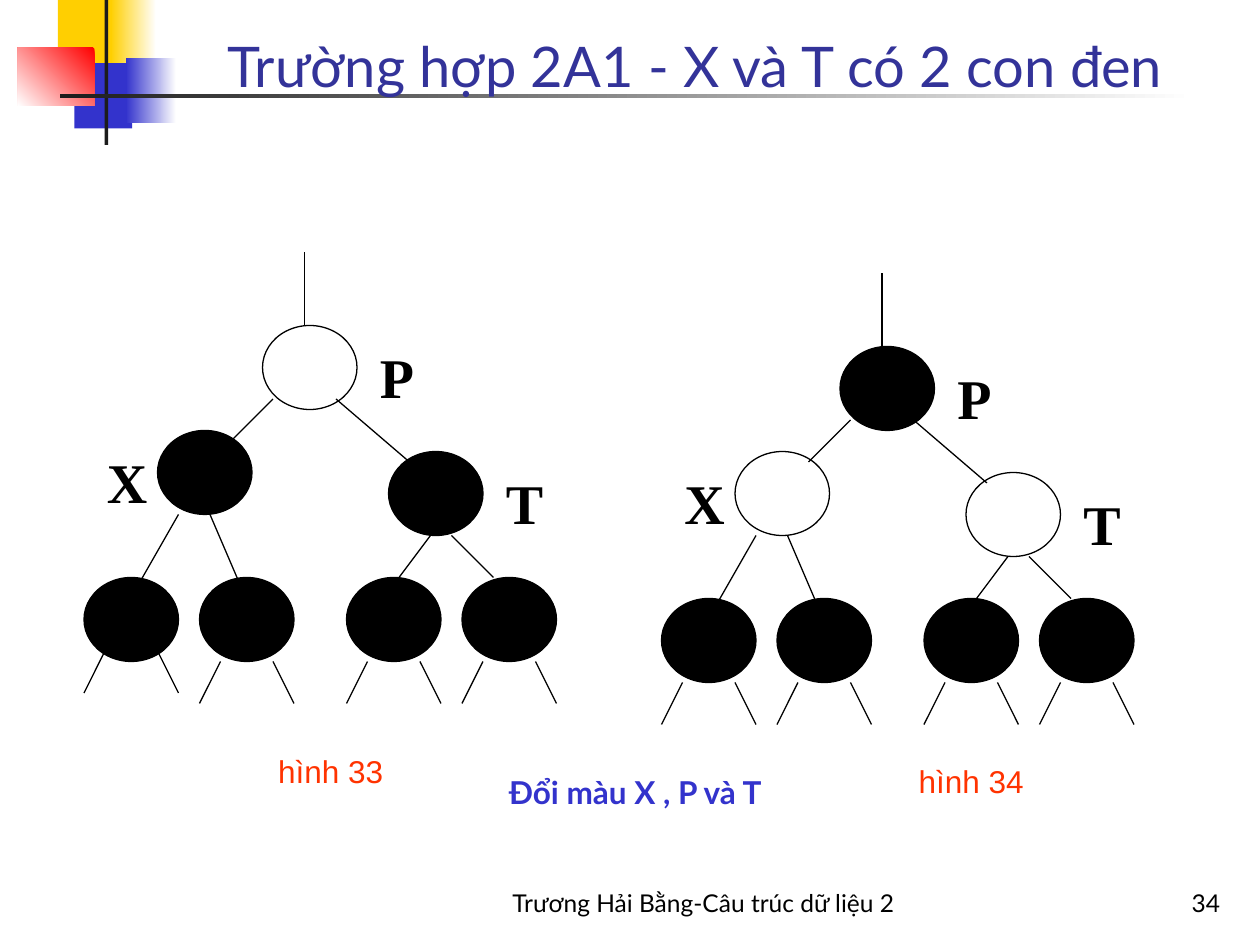
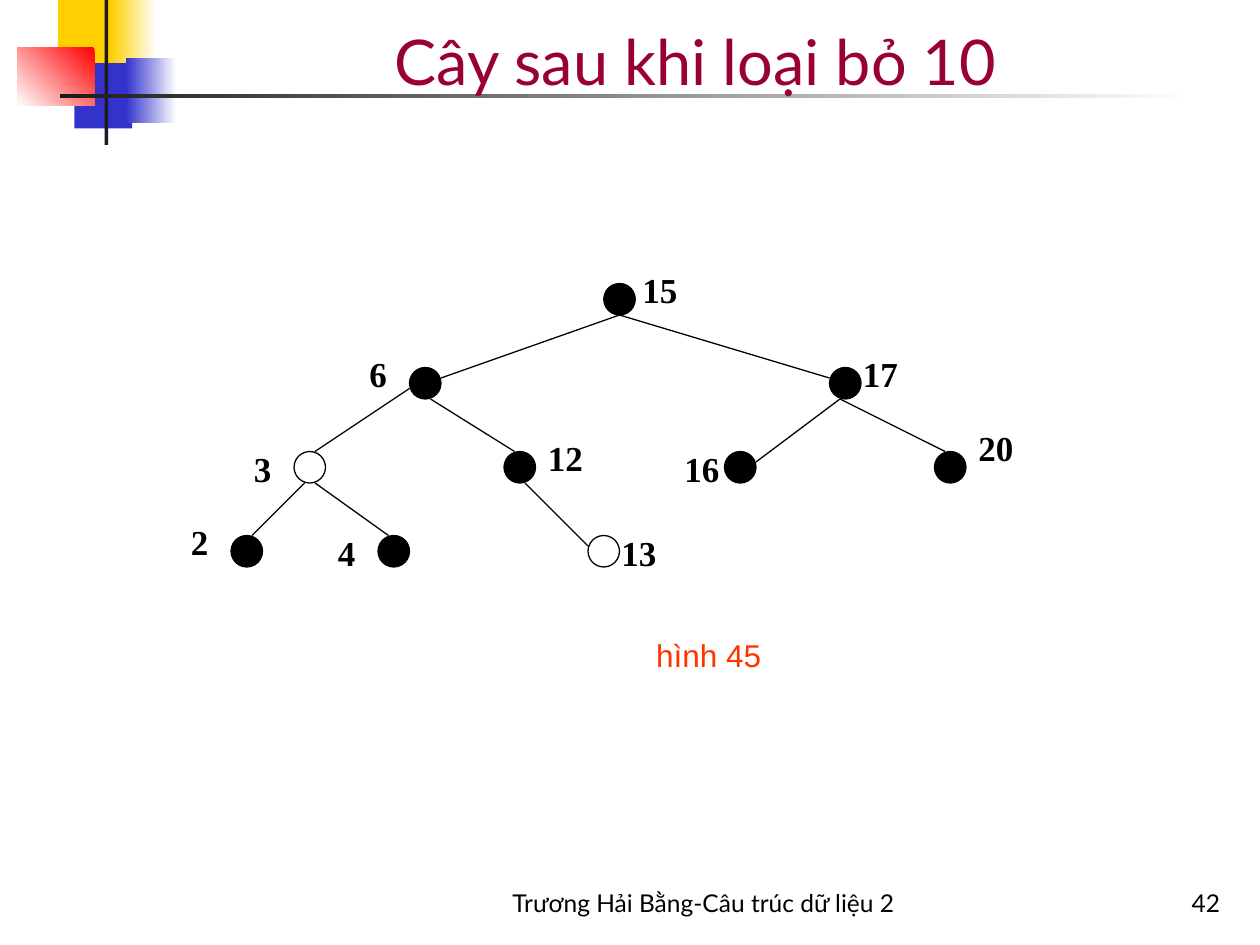
"""Builds two slides about deleting nodes from red-black trees."""
from typing import NamedTuple

import pptx
import pptx.dml.color
import pptx.enum.shapes
import pptx.enum.text
import pptx.oxml
import pptx.oxml.ns
import pptx.util

CELLS_PER_INCH = 12
BLACK, WHITE, GOLD, BLUE = "000000", "FFFFFF", "FFCF01", "3333CC"
RED, CHARCOAL, ORANGE, INDIGO, CRIMSON = "FF0000", "1C1C1C", "FF3300", "333399", "990033"
SANS, SERIF, CAPTION_FONT = "Lato", "Times New Roman", "Arial"
FOOTER = "Trương Hải Bằng-Câu trúc dữ liệu 2"
ALIGN = pptx.enum.text.PP_ALIGN
ANCHOR = pptx.enum.text.MSO_ANCHOR
AUTO_SIZE = pptx.enum.text.MSO_AUTO_SIZE
SHAPE = pptx.enum.shapes.MSO_SHAPE


class Area(NamedTuple):
    left: float
    top: float
    width: float
    height: float


class Bar(NamedTuple):
    area: Area
    colors: tuple[str, ...]
    angle: float = 180


class Node(NamedTuple):
    column: float
    row: float
    color: str = BLACK


class Edge(NamedTuple):
    start_column: float
    start_row: float
    end_column: float
    end_row: float


class Label(NamedTuple):
    text: str
    column: float
    row: float


class TreeStyle(NamedTuple):
    node_width: float
    node_height: float
    label_height: float
    label_size: float
    label_space: float


class Caption(NamedTuple):
    text: str
    column: float
    row: float


BARS = (
    Bar(Area(5.52, 0, 5.76, 6.24), (GOLD,)),
    Bar(Area(10.56, 0, 4.32, 6.24), (WHITE, GOLD)),
    Bar(Area(7.08, 6, 5.52, 6.24), (BLUE,)),
    Bar(Area(12, 5.52, 4.8, 6.24), (WHITE, BLUE)),
    Bar(Area(1.68, 4.56, 7.32, 5.52), (RED, WHITE), 225),
    Bar(Area(9.96, 0, 0.36, 13.8), (CHARCOAL,)),
    Bar(Area(5.76, 9, 108, 0.36), (WHITE, CHARCOAL)),
)
TITLE_AREA = Area(15.12, 2.76, 102.24, 7.2)
FOOTER_AREA = Area(42, 82, 50, 6)
NUMBER_AREA = Area(92.4, 82, 25, 6)

CASE_STYLE = TreeStyle(9, 8, 7.68, 32, 20)
LEAF_COLUMNS = (8, 19, 33, 44)
LEAF_ROW = 55
CASE_EDGES = (
    Edge(29, 31, 29, 24), Edge(26, 38, 22, 42), Edge(32, 38, 39, 44),
    Edge(17, 49, 13, 56), Edge(20, 49, 23, 56),
    Edge(41, 51, 38, 55), Edge(43, 51, 47, 55),
)
CASE_LABELS = (Label("P", 35, 32), Label("X", 9, 42), Label("T", 47, 44))

RESULT_STYLE = TreeStyle(3, 3, 5.28, 20, 12.5)
RESULT_NODES = (
    Node(57.5, 27), Node(39, 35), Node(79, 35),
    Node(28, 43, WHITE), Node(48, 43), Node(69, 43), Node(89, 43),
    Node(22, 51), Node(36, 51), Node(56, 51, WHITE),
)
RESULT_EDGES = (
    Edge(59, 30, 42, 36), Edge(59, 30, 79, 36),
    Edge(39, 37, 30, 43), Edge(41, 38, 49, 43),
    Edge(80, 38, 72, 44), Edge(80, 38, 90, 43),
    Edge(29, 46, 24, 51), Edge(30, 46, 37, 51), Edge(50, 46, 56, 52),
)
RESULT_LABELS = (
    Label("15", 60, 25), Label("6", 34, 33), Label("17", 81, 33),
    Label("3", 23, 42), Label("12", 51, 41), Label("16", 64, 42),
    Label("20", 92, 40), Label("2", 17, 49), Label("4", 31, 50),
    Label("13", 58, 50),
)


def cells(count: float) -> pptx.util.Length:
    return pptx.util.Inches(count / CELLS_PER_INCH)


def place(area: Area) -> list[pptx.util.Length]:
    return [cells(value) for value in area]


def rgb(color: str) -> pptx.dml.color.RGBColor:
    return pptx.dml.color.RGBColor.from_string(color)


def write(box, text: str, *, size: float, font: str = SANS, color: str = BLACK,
          bold: bool = False, align=ALIGN.LEFT, anchor=ANCHOR.TOP,
          space: float = 0, grow: bool = False) -> None:
    frame = box.text_frame
    frame.word_wrap = True
    frame.auto_size = AUTO_SIZE.SHAPE_TO_FIT_TEXT if grow else AUTO_SIZE.NONE
    frame.vertical_anchor = anchor
    para = frame.paragraphs[0]
    para.alignment = align
    para.space_before = pptx.util.Pt(space)
    span = para.add_run()
    span.text = text
    span.font.name = font
    span.font.size = pptx.util.Pt(size)
    span.font.bold = bold
    span.font.color.rgb = rgb(color)


def add_text(shapes, area: Area, text: str, **style) -> None:
    write(shapes.add_textbox(*place(area)), text, **style)


def add_caption(page, caption: Caption) -> None:
    add_text(page.shapes, Area(caption.column, caption.row, 17, 4.8), caption.text,
             size=18, font=CAPTION_FONT, color=ORANGE, align=ALIGN.CENTER,
             space=11.2, grow=True)


def add_bar(page, bar: Bar):
    shape = page.shapes.add_shape(SHAPE.RECTANGLE, *place(bar.area))
    shape.shadow.inherit = False
    shape.line.fill.background()
    if len(bar.colors) == 1:
        shape.fill.solid()
        shape.fill.fore_color.rgb = rgb(bar.colors[0])
    else:
        shape.fill.gradient()
        shape.fill.gradient_angle = bar.angle
        for stop, color in zip(shape.fill.gradient_stops, bar.colors):
            stop.color.rgb = rgb(color)
    return shape


def move_bars_to_master(deck, page) -> None:
    tree = deck.slide_master.shapes.element
    for index, bar in enumerate(BARS):
        element = add_bar(page, bar).element
        element.nvSpPr.cNvPr.id = 100 + index
        tree.append(element)


def draw_line(line) -> None:
    line.color.rgb = rgb(BLACK)
    line.width = pptx.util.Pt(0.75)


def add_node(shapes, node: Node, style: TreeStyle) -> None:
    area = Area(node.column, node.row, style.node_width, style.node_height)
    shape = shapes.add_shape(SHAPE.OVAL, *place(area))
    shape.shadow.inherit = False
    shape.fill.solid()
    shape.fill.fore_color.rgb = rgb(node.color)
    draw_line(shape.line)


def add_edge(shapes, edge: Edge) -> None:
    ends = [cells(value) for value in edge]
    connector = shapes.add_connector(pptx.enum.shapes.MSO_CONNECTOR.STRAIGHT, *ends)
    draw_line(connector.line)
    effects = pptx.oxml.parse_xml(f"<a:effectLst {pptx.oxml.ns.nsdecls('a')}/>")
    connector.element.spPr.append(effects)


def add_tree(page, nodes, edges, labels, style: TreeStyle,
             right: float = 0, down: float = 0) -> None:
    shapes = page.shapes.add_group_shape().shapes
    for node in nodes:
        add_node(shapes, Node(node.column + right, node.row + down, node.color), style)
    for edge in edges:
        add_edge(shapes, Edge(edge.start_column + right, edge.start_row + down,
                              edge.end_column + right, edge.end_row + down))
    for label in labels:
        area = Area(label.column + right, label.row + down, 6, style.label_height)
        add_text(shapes, area, label.text, size=style.label_size, font=SERIF,
                 bold=True, space=style.label_space, grow=True)


def leaf_twigs(first_rise: float) -> list[Edge]:
    twigs = []
    for index, column in enumerate(LEAF_COLUMNS):
        row = LEAF_ROW + 8 - (first_rise if index == 0 else 0)
        twigs += [Edge(column + 2, row, column, row + 4),
                  Edge(column + 7, row, column + 9, row + 4)]
    return twigs


def add_case_tree(page, parent: str, children: str, right: float, down: float,
                  first_rise: float) -> None:
    nodes = [Node(25, 31, parent), Node(15, 41, children), Node(37, 43, children)]
    nodes += [Node(column, LEAF_ROW) for column in LEAF_COLUMNS]
    add_tree(page, nodes, [*CASE_EDGES, *leaf_twigs(first_rise)], CASE_LABELS,
             CASE_STYLE, right, down)


def add_page(deck, title: str, size: float, color: str, number: int):
    page = deck.slides.add_slide(deck.slide_layouts[5])
    box = page.shapes.title
    box.left, box.top, box.width, box.height = place(TITLE_AREA)
    write(box, title, size=size, color=color, align=ALIGN.CENTER, anchor=ANCHOR.BOTTOM)
    for area, text, align in ((FOOTER_AREA, FOOTER, ALIGN.CENTER),
                              (NUMBER_AREA, str(number), ALIGN.RIGHT)):
        add_text(page.shapes, area, text, size=14, align=align, anchor=ANCHOR.BOTTOM)
    return page


def build_case_page(deck):
    page = add_page(deck, "Trường hợp 2A1 - X và T có 2 con đen", 32, INDIGO, 34)
    add_case_tree(page, WHITE, BLACK, right=0, down=0, first_rise=1)
    add_case_tree(page, BLACK, WHITE, right=55, down=2, first_rise=0)
    add_text(page.shapes, Area(4, 73, 113, 4.8), "Đổi màu X , P và T", size=18,
             color=BLUE, bold=True, align=ALIGN.CENTER, space=11.2, grow=True)
    add_caption(page, Caption("hình 33", 23, 71))
    add_caption(page, Caption("hình 34", 84, 72))
    return page


def build_result_page(deck) -> None:
    page = add_page(deck, "Cây sau khi loại bỏ 10", 36, CRIMSON, 42)
    add_tree(page, RESULT_NODES, RESULT_EDGES, RESULT_LABELS, RESULT_STYLE)
    add_caption(page, Caption("hình 45", 59, 60))


def main() -> None:
    deck = pptx.Presentation()
    deck.slide_width, deck.slide_height = cells(120), cells(90)
    move_bars_to_master(deck, build_case_page(deck))
    build_result_page(deck)
    deck.save("out.pptx")


if __name__ == "__main__":
    main()
